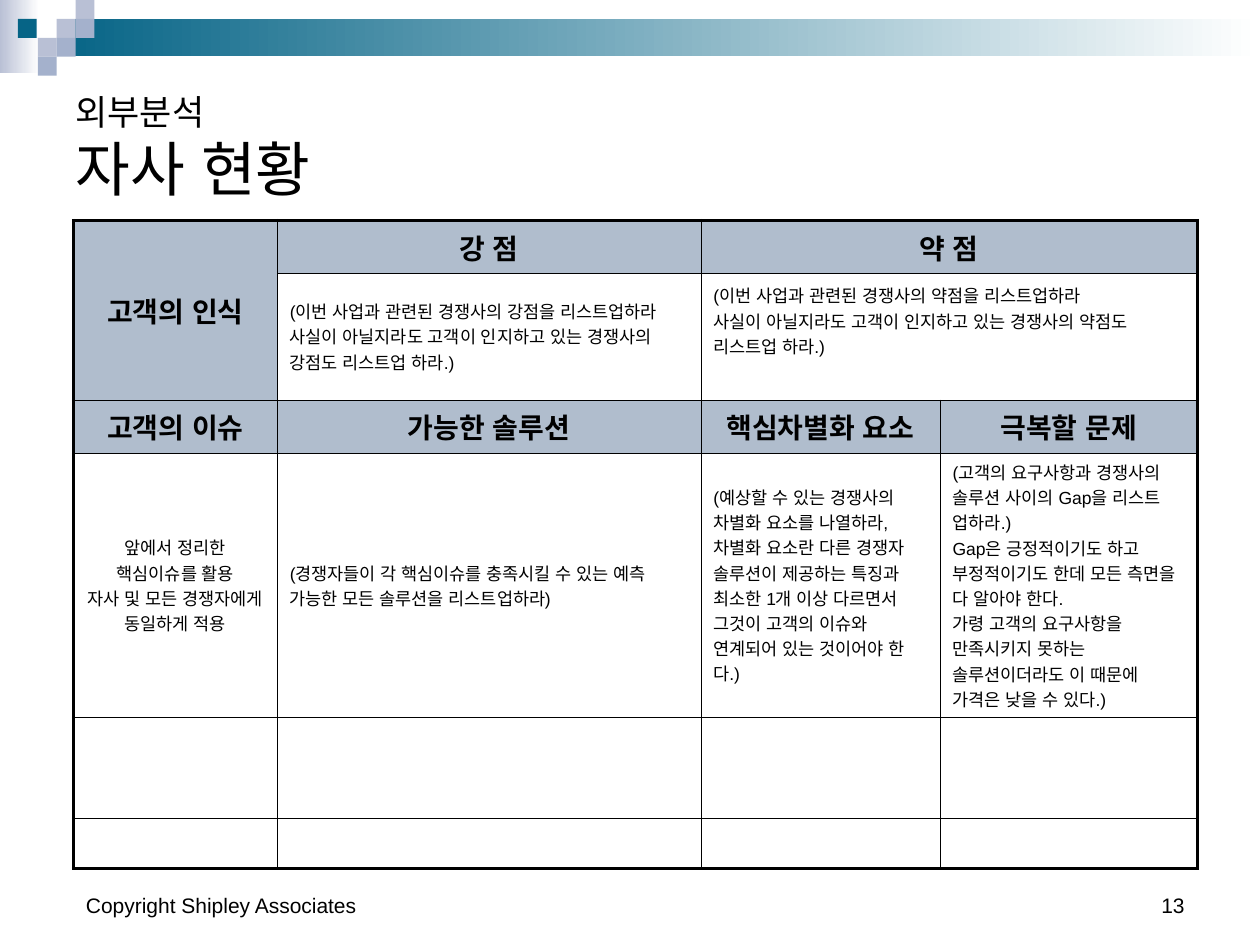
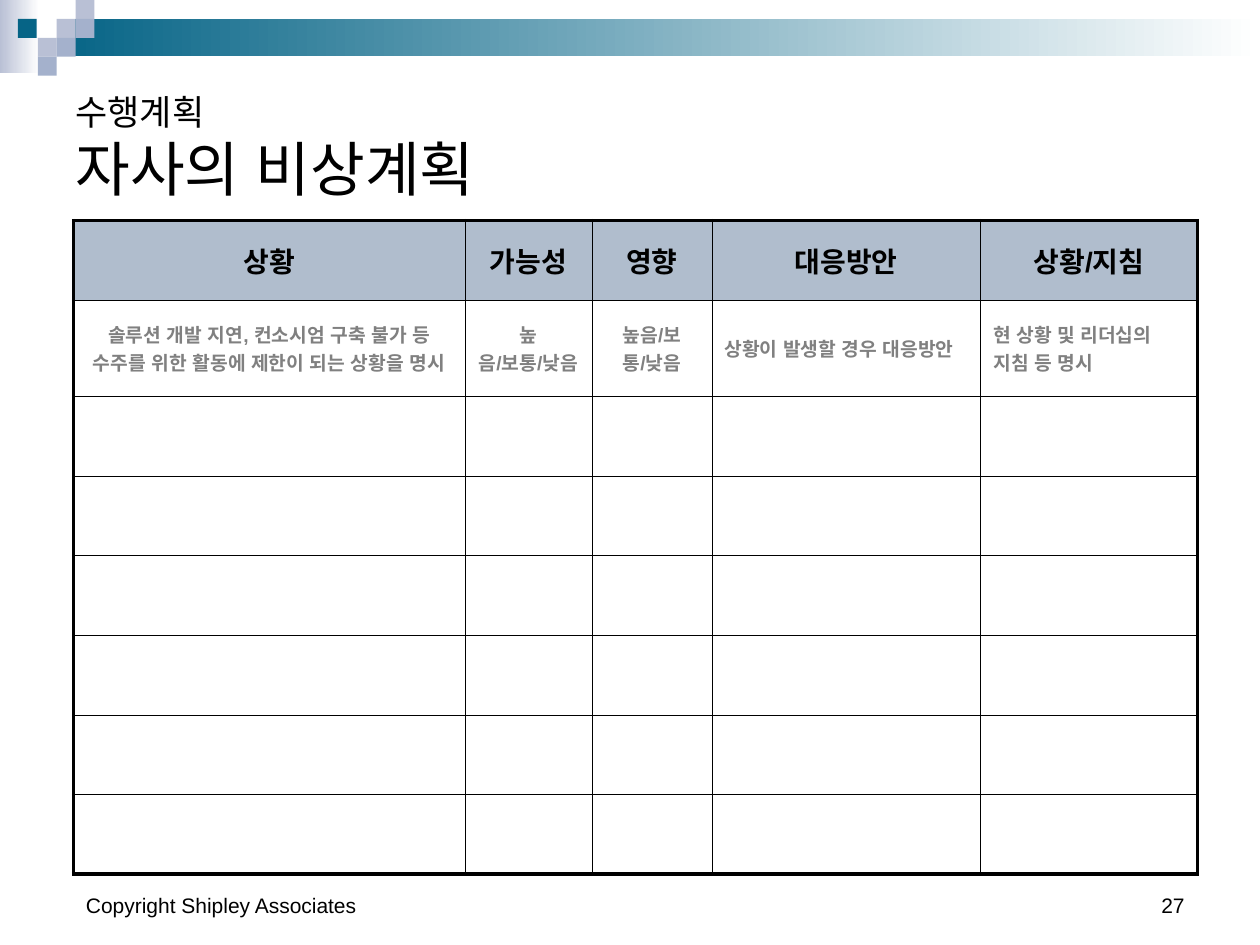
from dataclasses import dataclass

from lxml import etree
from pptx import Presentation
from pptx.dml.color import RGBColor
from pptx.enum.lang import MSO_LANGUAGE_ID
from pptx.enum.shapes import MSO_SHAPE
from pptx.enum.text import MSO_ANCHOR, PP_ALIGN
from pptx.oxml.ns import qn
from pptx.util import Pt

LEFT, CENTER, RIGHT = PP_ALIGN.LEFT, PP_ALIGN.CENTER, PP_ALIGN.RIGHT
BOTTOM, MIDDLE = MSO_ANCHOR.BOTTOM, MSO_ANCHOR.MIDDLE
RECTANGLE = MSO_SHAPE.RECTANGLE
KOREAN = MSO_LANGUAGE_ID.KOREAN


@dataclass(frozen=True)
class Theme:
    font: str = "Arial"
    black: str = "000000"
    white: str = "FFFFFF"
    gray: str = "808080"
    teal: str = "066486"
    lavender: str = "B9C0D5"
    periwinkle: str = "A4B1CC"
    header_fill: str = "B0BDCD"
    section_size: float = 20
    title_size: float = 34
    header_size: float = 16
    hint_size: float = 11
    note_size: float = 10
    footer_size: float = 12
    outer_line: float = 2.25
    inner_line: float = 0.25


theme = Theme()


def write(paragraph, text, size, color=theme.black, bold=False, align=LEFT):
    paragraph.alignment = align
    run = paragraph.add_run()
    run.text = text
    run.font.name = theme.font
    run.font.size = Pt(size)
    run.font.bold = bold
    run.font.color.rgb = RGBColor.from_string(color)
    run.font.language_id = KOREAN


def add_borders(cell, widths):
    properties = cell._tc.get_or_add_tcPr()
    for index, (side, width) in enumerate(widths.items()):
        line = etree.Element(qn(f"a:ln{side}"), w=str(Pt(width)))
        fill = etree.SubElement(line, qn("a:solidFill"))
        etree.SubElement(fill, qn("a:srgbClr"), val=theme.black)
        properties.insert(index, line)


header = dict(size=theme.header_size, bold=True, align=CENTER)
note = dict(size=theme.note_size)
centered_note = dict(size=theme.note_size, align=CENTER)
hint = dict(size=theme.hint_size, bold=True, color=theme.gray)
centered_hint = dict(hint, align=CENTER)

pages = [
    {
        "section": "외부분석",
        "title": "자사 현황",
        "number": "13",
        "columns": [116.4, 242, 136.8, 147],
        "rows": [30, 72.5, 30.5, 151, 57.5, 27.5],
        "merges": [((0, 0), (1, 0)), ((0, 2), (0, 3)), ((1, 2), (1, 3))],
        "bottom_margins": {(1, 2): 21.6},
        "cells": {
            (0, 0): (header, ["고객의 인식"]),
            (0, 1): (header, ["강 점"]),
            (0, 2): (header, ["약 점"]),
            (1, 1): (note, [
                "(이번 사업과 관련된 경쟁사의 강점을 리스트업하라",
                "사실이 아닐지라도 고객이 인지하고 있는 경쟁사의 강점도 리스트업 하라.)",
            ]),
            (1, 2): (note, [
                "(이번 사업과 관련된 경쟁사의 약점을 리스트업하라",
                "사실이 아닐지라도 고객이 인지하고 있는 경쟁사의 약점도 리스트업 하라.)",
            ]),
            (2, 0): (header, ["고객의 이슈"]),
            (2, 1): (header, ["가능한 솔루션"]),
            (2, 2): (header, ["핵심차별화 요소"]),
            (2, 3): (header, ["극복할 문제"]),
            (3, 0): (centered_note, [
                "앞에서 정리한",
                "핵심이슈를 활용",
                "자사 및 모든 경쟁자에게 동일하게 적용",
            ]),
            (3, 1): (note, [
                "(경쟁자들이 각 핵심이슈를 충족시킬 수 있는 예측 가능한 모든 솔루션을 리스트업하라)",
            ]),
            (3, 2): (note, [
                "(예상할 수 있는 경쟁사의 차별화 요소를 나열하라,",
                "차별화 요소란 다른 경쟁자 솔루션이 제공하는 특징과 최소한 1개 이상 다르면서 "
                "그것이 고객의 이슈와 연계되어 있는 것이어야 한다.)",
            ]),
            (3, 3): (note, [
                "(고객의 요구사항과 경쟁사의 솔루션 사이의 Gap을 리스트 업하라.)",
                "Gap은 긍정적이기도 하고 부정적이기도 한데 모든 측면을 다 알아야 한다.",
                "가령 고객의 요구사항을 만족시키지 못하는 솔루션이더라도 이 때문에 가격은 낮을 수 있다.)",
            ]),
        },
    },
    {
        "section": "수행계획",
        "title": "자사의 비상계획",
        "number": "27",
        "columns": [223.6, 72.6, 68.6, 153.6, 123.8],
        "rows": [45.5, 55] + [45.5] * 6,
        "merges": [],
        "bottom_margins": {},
        "cells": {
            (0, 0): (header, ["상황"]),
            (0, 1): (header, ["가능성"]),
            (0, 2): (header, ["영향"]),
            (0, 3): (header, ["대응방안"]),
            (0, 4): (header, ["상황/지침"]),
            (1, 0): (centered_hint, [
                "솔루션 개발 지연, 컨소시엄 구축 불가 등 수주를 위한 활동에 제한이 되는 상황을 명시",
            ]),
            (1, 1): (centered_hint, ["높음/보통/낮음"]),
            (1, 2): (centered_hint, ["높음/보통/낮음"]),
            (1, 3): (hint, ["상황이 발생할 경우 대응방안"]),
            (1, 4): (hint, ["현 상황 및 리더십의 지침 등 명시"]),
        },
    },
]

tile = 10.8
band_parts = [
    (0, 0, 22.3, 41.8, theme.lavender, True),
    (32.4, tile, 687.6, 21.4, theme.teal, True),
    (32.4, tile, tile, tile, theme.lavender, False),
    (43.2, 0, tile, tile, theme.lavender, False),
    (43.2, tile, tile, tile, theme.periwinkle, False),
    (21.6, 2 * tile, tile, tile, theme.lavender, False),
    (10.2, tile, tile, tile, theme.teal, False),
    (32.4, 2 * tile, tile, tile, theme.periwinkle, False),
    (21.6, 3 * tile, tile, tile, theme.periwinkle, False),
]

presentation = Presentation()
presentation.slide_width = Pt(720)
presentation.slide_height = Pt(540)

for page in pages:
    slide = presentation.slides.add_slide(presentation.slide_layouts[6])

    for left, top, width, height, color, fades in band_parts:
        shape = slide.shapes.add_shape(RECTANGLE, Pt(left), Pt(top), Pt(width), Pt(height))
        shape.shadow.inherit = False
        shape.line.fill.background()
        if fades:
            shape.fill.gradient()
            shape.fill.gradient_angle = 0
            for stop, stop_color in zip(shape.fill.gradient_stops, (color, theme.white)):
                stop.color.rgb = RGBColor.from_string(stop_color)
        else:
            shape.fill.solid()
            shape.fill.fore_color.rgb = RGBColor.from_string(color)

    text_boxes = [
        (516, 492, 168, 36, [(page["number"], theme.footer_size)], RIGHT),
        (42, 492, 228, 36, [("Copyright Shipley Associates", theme.footer_size)], LEFT),
        (36, 36, 648, 84, [(page["section"], theme.section_size),
                           (page["title"], theme.title_size)], LEFT),
    ]
    for left, top, width, height, lines, align in text_boxes:
        text_frame = slide.shapes.add_textbox(Pt(left), Pt(top), Pt(width), Pt(height)).text_frame
        text_frame.word_wrap = True
        text_frame.vertical_anchor = BOTTOM
        paragraph = text_frame.paragraphs[0]
        for index, (text, size) in enumerate(lines):
            if index:
                paragraph.add_line_break()
            write(paragraph, text, size=size, align=align)

    columns, rows = page["columns"], page["rows"]
    table = slide.shapes.add_table(
        len(rows), len(columns), Pt(42), Pt(126), Pt(sum(columns)), Pt(sum(rows))
    ).table
    table.first_row = False
    table.horz_banding = False
    for column, width in zip(table.columns, columns):
        column.width = Pt(width)
    for row, height in zip(table.rows, rows):
        row.height = Pt(height)
    for first, last in page["merges"]:
        table.cell(*first).merge(table.cell(*last))

    for row_index in range(len(rows)):
        for column_index in range(len(columns)):
            position = (row_index, column_index)
            cell = table.cell(*position)
            cell_format, lines = page["cells"].get(position, (note, []))
            cell.vertical_anchor = MIDDLE
            if position in page["bottom_margins"]:
                cell.margin_bottom = Pt(page["bottom_margins"][position])
            cell.fill.solid()
            cell.fill.fore_color.rgb = RGBColor.from_string(
                theme.header_fill if cell_format is header else theme.white
            )
            outer_sides = {
                "L": column_index == 0,
                "R": column_index + cell.span_width == len(columns),
                "T": row_index == 0,
                "B": row_index + cell.span_height == len(rows),
            }
            add_borders(cell, {
                side: theme.outer_line if outer else theme.inner_line
                for side, outer in outer_sides.items()
            })
            for index, text in enumerate(lines):
                text_frame = cell.text_frame
                paragraph = text_frame.add_paragraph() if index else text_frame.paragraphs[0]
                write(paragraph, text, **cell_format)

presentation.save("out.pptx")
